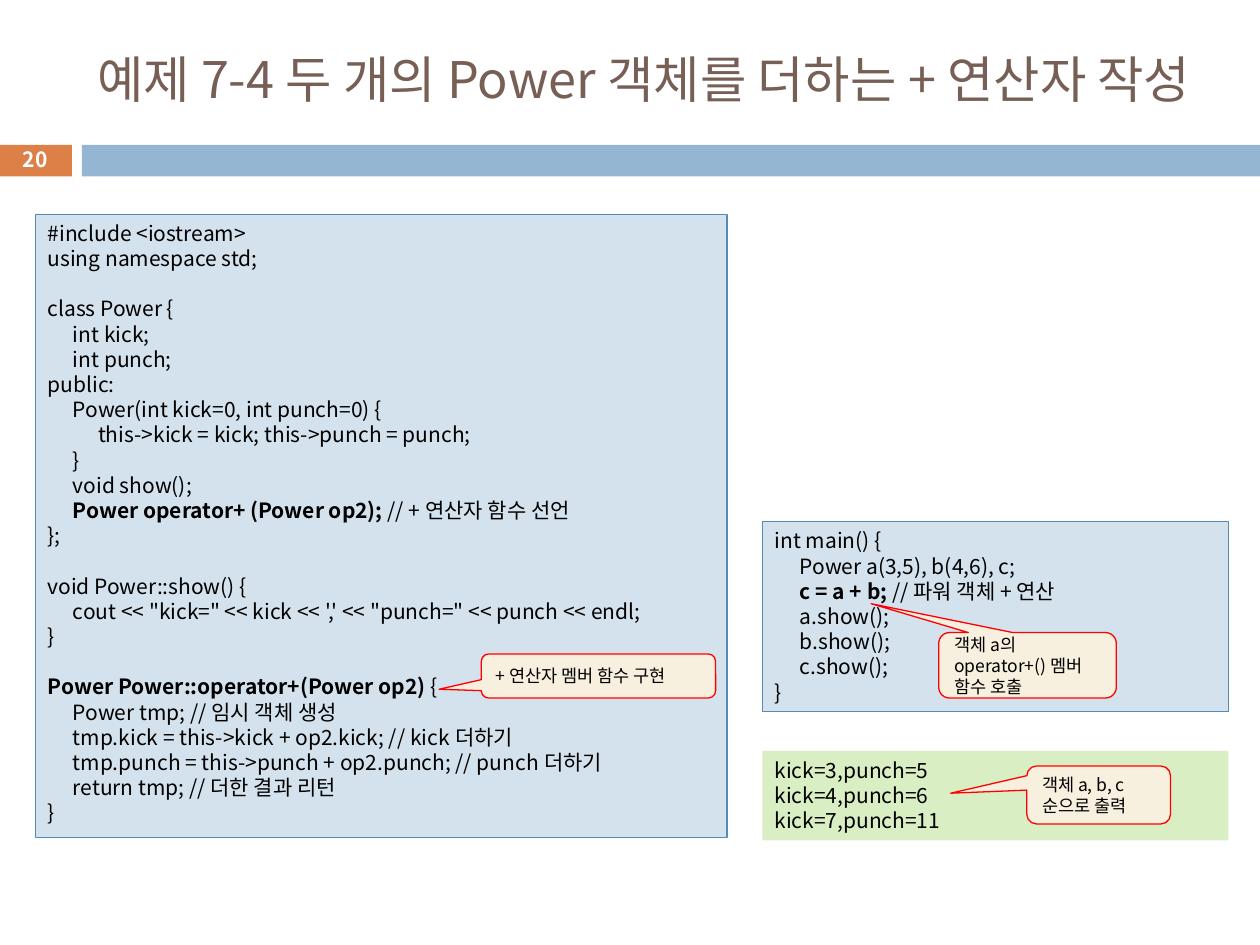
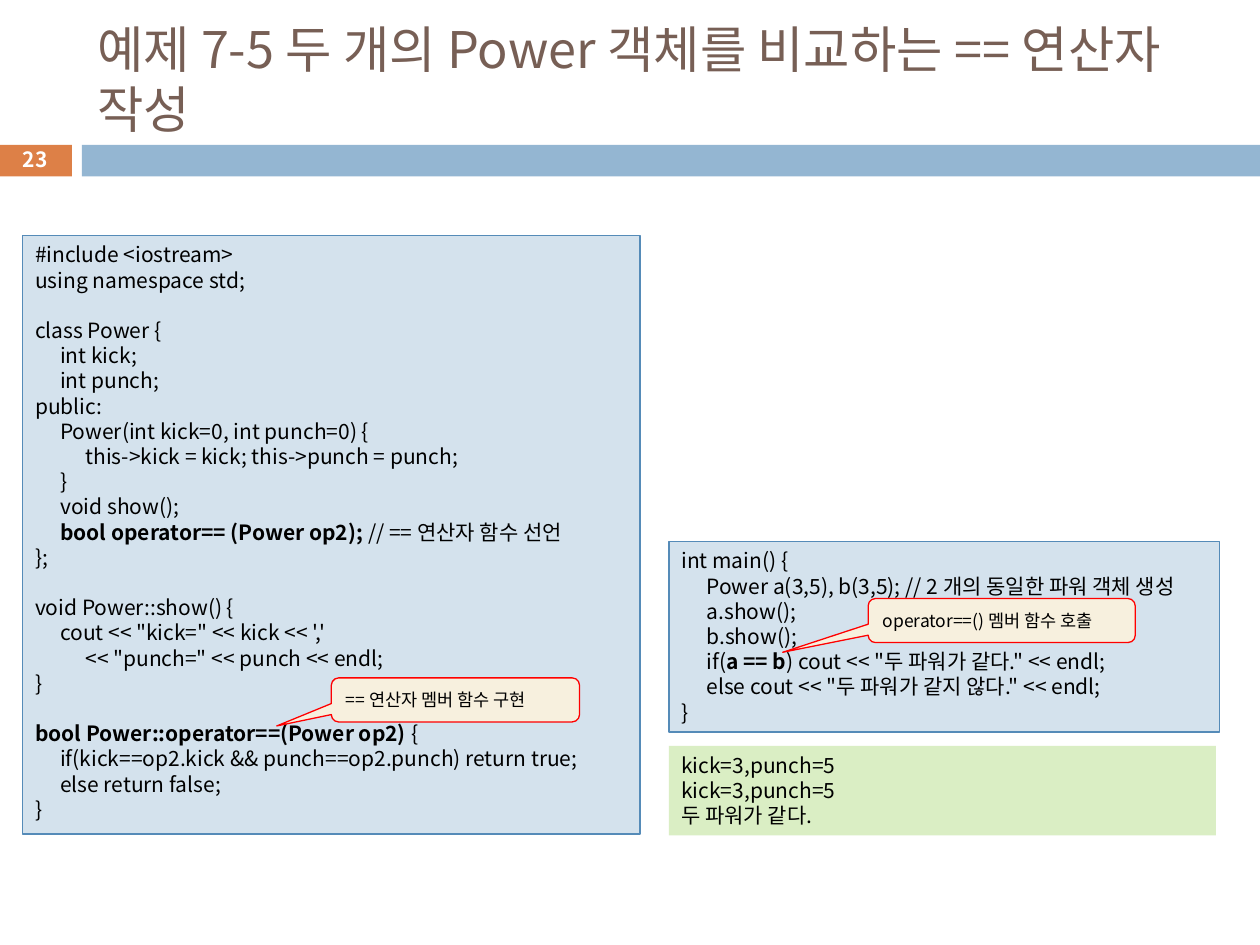
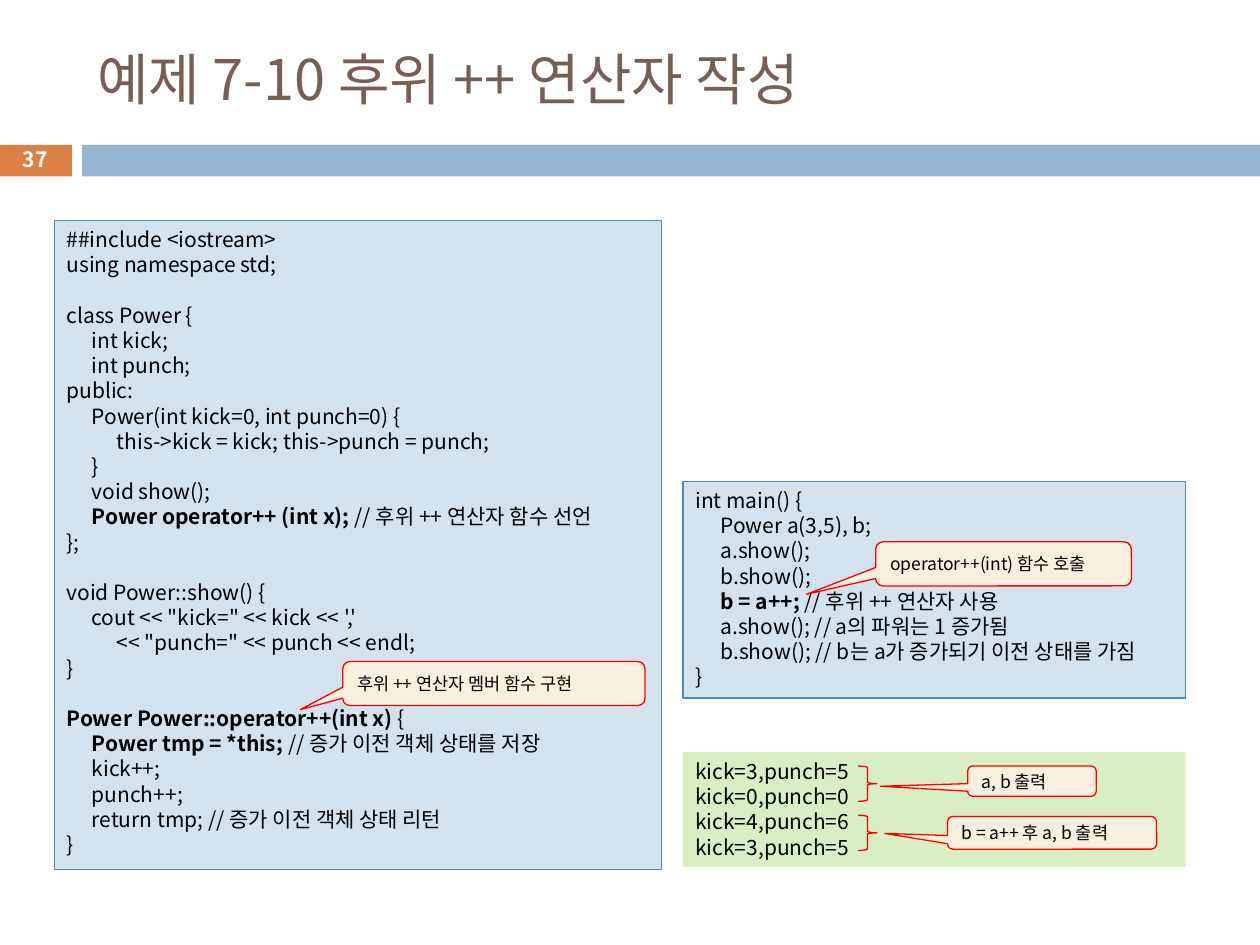
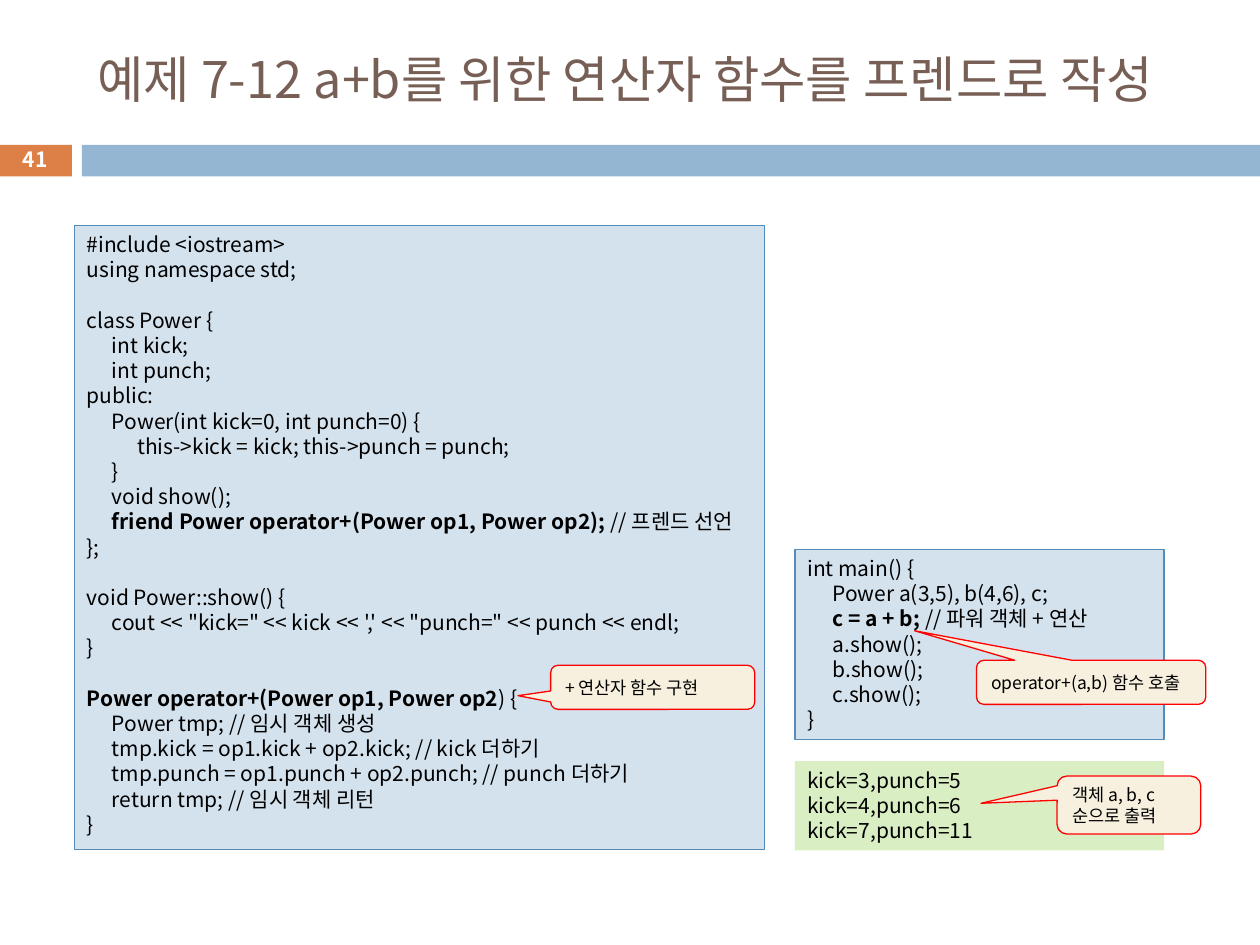
from dataclasses import dataclass
from lxml.etree import SubElement
from pptx import Presentation
from pptx.dml.color import RGBColor
from pptx.enum.shapes import MSO_SHAPE as Kind
from pptx.enum.text import MSO_ANCHOR as Anchor, MSO_AUTO_SIZE as Fit, PP_ALIGN as Align
from pptx.oxml.ns import qn
from pptx.util import Inches, Pt


@dataclass
class Theme:
    font: str = "Noto Sans CJK KR"
    ink: str = "000000"
    white: str = "FFFFFF"
    head: str = "775F55"
    tag: str = "DD8047"
    band: str = "94B6D2"
    code: str = "D4E2ED"
    edge: str = "558BB8"
    out: str = "DAEEC4"
    note: str = "F7F0DE"
    red: str = "FF0000"
    body: int = 12
    small: int = 10
    rule: float = 0.75
    lead: float = 1.2    # line pitch as a share of the type size
    tab: float = 0.2     # inches for each step of code indent


look = Theme()
deck = Presentation()
deck.slide_width, deck.slide_height = Inches(10), Inches(7.5)
col = deck.slide_width / 100
row = deck.slide_height / 75


def draw(page, kind, place, fill=None, line=None):
    """Add a shape at (column, row, columns, rows)."""
    x, y, w, h = place
    shape = page.shapes.add_shape(kind, int(x * col), int(y * row), int(w * col), int(h * row))
    shape.shadow.inherit = False
    if fill:
        shape.fill.solid()
        shape.fill.fore_color.rgb = RGBColor.from_string(fill)
    else:
        shape.fill.background()
    if line:
        shape.line.color.rgb = RGBColor.from_string(line)
        shape.line.width = Pt(look.rule)
    else:
        shape.line.fill.background()
    return shape


def write(shape, text, size, hue=look.ink, bold=False, align=Align.LEFT, anchor=Anchor.MIDDLE):
    """Fill a shape; ** marks bold, four spaces an indent, an empty line a gap."""
    frame = shape.text_frame
    frame.word_wrap, frame.auto_size = True, Fit.NONE
    frame.vertical_anchor = anchor
    par, gap = None, False
    for line in text.strip().split("\n"):
        if not line:
            gap = True
            continue
        par = frame.add_paragraph() if par else frame.paragraphs[0]
        par.alignment = align
        par.line_spacing = Pt(size * look.lead)
        par.space_before = Pt(size * look.lead if gap else 0)
        gap = False
        par.font.name, par.font.size, par.font.bold = look.font, Pt(size), bold
        par.font.color.rgb = RGBColor.from_string(hue)
        prop = par._p.pPr
        SubElement(prop.find(qn("a:defRPr")), qn("a:ea"), typeface=look.font)
        bare = line.lstrip()
        depth = (len(line) - len(bare)) // 4
        prop.set("marL", str(Inches(look.tab * depth)))
        prop.set("indent", "0")
        for i, part in enumerate(bare.split("**")):
            if part:
                run = par.add_run()
                run.text = part
                if i % 2:
                    run.font.bold = True


# Code that the examples share; DECL stands for the operator's declaration
base = """
#include <iostream>
using namespace std;

class Power {
    int kick;
    int punch;
public:
    Power(int kick=0, int punch=0) {
        this->kick = kick; this->punch = punch;
    }
    void show();
    DECL
};

void Power::show() {
"""
wide = base + """    cout << "kick=" << kick << ',' << "punch=" << punch << endl;
}

"""
tall = base + """    cout << "kick=" << kick << ','
        << "punch=" << punch << endl;
}

"""
add = """
int main() {
    Power a(3,5), b(4,6), c;
    **c = a + b; **// 파워 객체 + 연산
    a.show();
    b.show();
    c.show();
}
"""
sums = "kick=3,punch=5\nkick=4,punch=6\nkick=7,punch=11"

# Each example: title, then (place, text) of code, main and output,
# then notes as (place, tip offset in shares of the note, text)
pages = [
    dict(
        num="20", size=28.8, title="예제 7-4 두 개의 Power 객체를 더하는 + 연산자 작성",
        code=((2.8, 17, 54.9, 49.5), wide.replace(
            "DECL", "**Power operator+ (Power op2); **// + 연산자 함수 선언") + """\
**Power Power::operator+(Power op2) **{
    Power tmp; // 임시 객체 생성
    tmp.kick = this->kick + op2.kick; // kick 더하기
    tmp.punch = this->punch + op2.punch; // punch 더하기
    return tmp; // 더한 결과 리턴
}
"""),
        main=((60.5, 41.4, 37, 15.1), add),
        out=((60.5, 59.6, 37, 7.1), sums),
        notes=[
            ((38.2, 51.9, 18.6, 3.5), (-0.68, 0.3), "+ 연산자 멤버 함수 구현"),
            ((81.5, 60.8, 11.4, 4.6), (-1.03, -0.03), "객체 a, b, c 순으로 출력"),
            ((74.5, 50.2, 14.1, 5.2), (-0.88, -0.94), "객체 a의\noperator+() 멤버\n함수 호출"),
        ],
    ),
    dict(
        num="23", size=28.8, title="예제 7-5 두 개의 Power 객체를 비교하는 == 연산자 작성",
        code=((1.8, 18.7, 49, 47.5), tall.replace(
            "DECL", "**bool operator== (Power op2);** // == 연산자 함수 선언") + """\
**bool Power::operator==(Power op2) **{
    if(kick==op2.kick && punch==op2.punch) return true;
    else return false;
}
"""),
        main=((53.1, 43, 43.7, 15.1), """
int main() {
    Power a(3,5), b(3,5); // 2 개의 동일한 파워 객체 생성
    a.show();
    b.show();
    if(**a == b**) cout << "두 파워가 같다." << endl;
    else cout << "두 파워가 같지 않다." << endl;
}
"""),
        out=((53.1, 59.2, 43.4, 7.1), "kick=3,punch=5\nkick=3,punch=5\n두 파워가 같다."),
        notes=[
            ((26.3, 53.8, 19.7, 3.5), (-0.72, 0.59), "== 연산자 멤버 함수 구현"),
            ((68.9, 47.5, 21.2, 3.5), (-0.82, 0.72), "operator==() 멤버 함수 호출"),
        ],
    ),
    dict(
        num="37", size=32, title="예제 7-10 후위 ++ 연산자 작성",
        code=((4.3, 17.5, 48.2, 51.5), "#" + tall.strip("\n").replace(
            "DECL", "**Power operator++ (int x); **// 후위 ++ 연산자 함수 선언") + """

**Power Power::operator++(int x) **{
    **Power tmp = *this; **// 증가 이전 객체 상태를 저장
    kick++;
    punch++;
    return tmp; // 증가 이전 객체 상태 리턴
}
"""),
        main=((54.2, 38.2, 39.9, 17.2), """
int main() {
    Power a(3,5), b;
    a.show();
    b.show();
    **b = a++; **// 후위 ++ 연산자 사용
    a.show(); // a의 파워는 1 증가됨
    b.show(); // b는 a가 증가되기 이전 상태를 가짐
}
"""),
        out=((54.2, 59.7, 39.9, 9.1),
             "kick=3,punch=5\nkick=0,punch=0\nkick=4,punch=6\nkick=3,punch=5"),
        notes=[
            ((76.8, 60.8, 10.2, 2.4), (-1.18, 0.17), "a, b 출력"),
            ((75.2, 64.8, 16.6, 2.6), (-0.8, 0.02), "b = a++ 후 a, b 출력"),
            ((27.2, 52.5, 24, 3.5), (-0.64, 0.59), "후위 ++ 연산자 멤버 함수 구현"),
            ((69.5, 43, 20.3, 3.5), (-0.77, 0.69), "operator++(int) 함수 호출"),
        ],
        braces=[(68.1, 60.8, 1.5, 2.8), (68.1, 64.7, 1.5, 2.8)],
    ),
    dict(
        num="41", size=28.8, title="예제 7-12 a+b를 위한 연산자 함수를 프렌드로 작성",
        code=((5.9, 17.9, 54.8, 49.5), wide.replace(
            "DECL", "**friend Power operator+(Power op1, Power op2);** // 프렌드 선언") + """\
**Power operator+(Power op1, Power op2**) {
    Power tmp; // 임시 객체 생성
    tmp.kick = op1.kick + op2.kick; // kick 더하기
    tmp.punch = op1.punch + op2.punch; // punch 더하기
    return tmp; // 임시 객체 리턴
}
"""),
        main=((63.1, 43.6, 29.3, 15.1), add),
        out=((63.1, 60.4, 29.3, 7.1), sums),
        notes=[
            ((43.7, 52.8, 16.2, 3.5), (-0.66, 0.19), "+ 연산자 함수 구현"),
            ((83.9, 61.6, 11.4, 4.6), (-1.03, -0.03), "객체 a, b, c 순으로 출력"),
            ((77.5, 52.4, 18.2, 3.5), (-0.77, -1.17), "operator+(a,b) 함수 호출"),
        ],
    ),
]

for page in pages:
    slide = deck.slides.add_slide(deck.slide_layouts[5])

    # Bands, title and page number
    draw(slide, Kind.RECTANGLE, (-0.1, 11.5, 5.8, 2.5), look.tag)
    draw(slide, Kind.RECTANGLE, (6.5, 11.5, 93.5, 2.5), look.band)
    title = slide.shapes.title
    title.left, title.top = int(6.7 * col), int(2.5 * row)
    title.width, title.height = int(89.2 * col), int(7.4 * row)
    title.text_frame.margin_right = 0
    write(title, page["title"], page["size"], look.head)
    num = slide.shapes.add_textbox(int(-0.1 * col), int(11.3 * row), int(5.8 * col), int(2.7 * row))
    write(num, page["num"], look.body, look.white, True, Align.CENTER)

    # Code, main program and its output
    for key, fill, line in (("code", look.code, look.edge),
                            ("main", look.code, look.edge),
                            ("out", look.out, None)):
        place, text = page[key]
        panel = draw(slide, Kind.RECTANGLE, place, fill, line)
        write(panel, text, look.body, anchor=Anchor.TOP)

    # Braces and callouts
    for place in page.get("braces", []):
        draw(slide, Kind.RIGHT_BRACE, place, line=look.red)
    for place, tip, text in page["notes"]:
        note = draw(slide, Kind.ROUNDED_RECTANGULAR_CALLOUT, place, look.note, look.red)
        note.adjustments[0], note.adjustments[1] = tip
        write(note, text, look.small)

deck.save("out.pptx")
